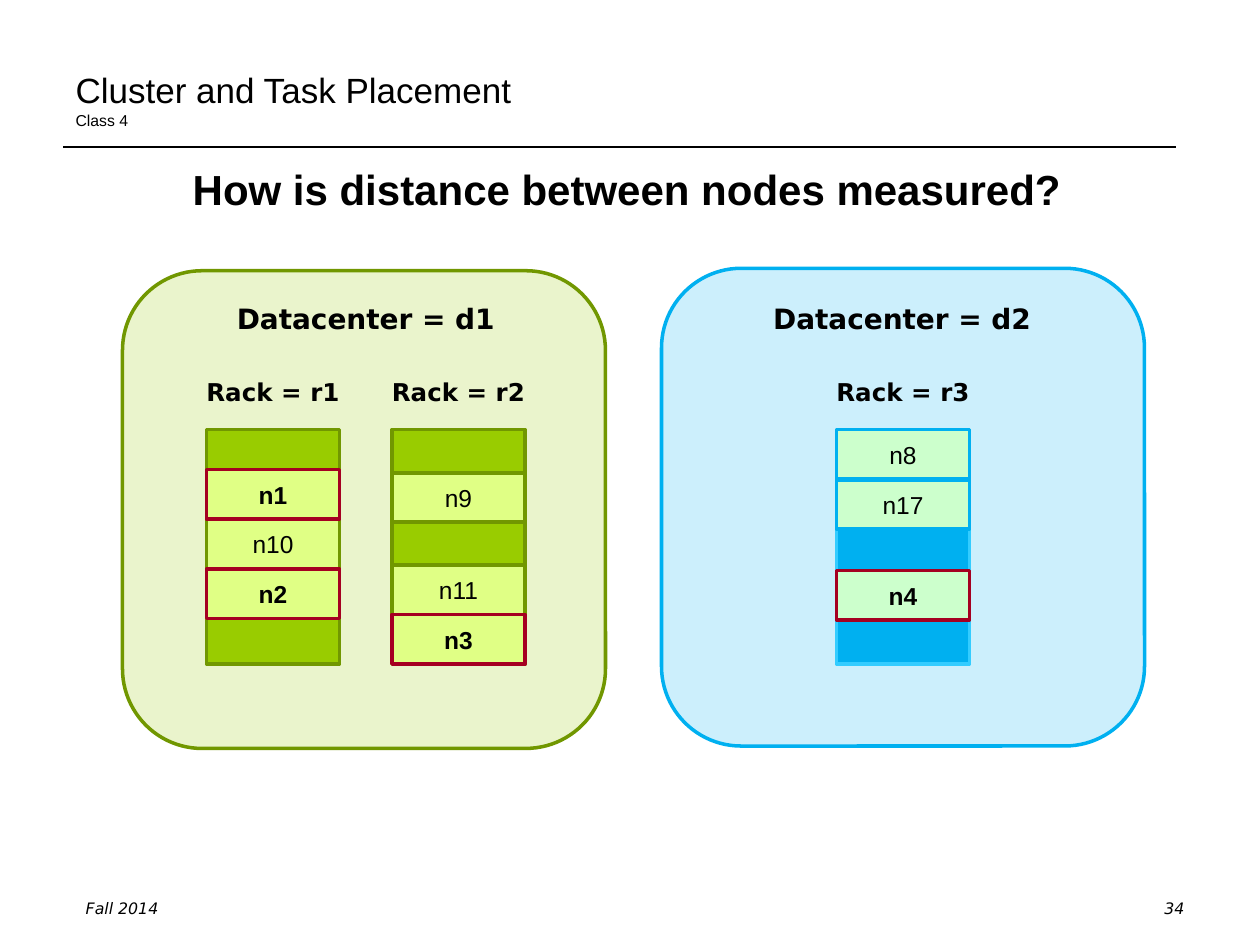
from lxml import etree
from pptx import Presentation
from pptx.dml.color import RGBColor
from pptx.enum.shapes import MSO_CONNECTOR, MSO_SHAPE
from pptx.enum.text import MSO_ANCHOR, MSO_AUTO_SIZE, PP_ALIGN
from pptx.oxml.ns import qn
from pptx.util import Pt

BLACK = RGBColor(0x00, 0x00, 0x00)
GREEN = RGBColor(0x99, 0xCC, 0x00)
DARK_GREEN = RGBColor(0x71, 0x97, 0x00)
LIME = RGBColor(0xE0, 0xFF, 0x85)
BLUE = RGBColor(0x00, 0xB0, 0xF0)
SKY = RGBColor(0x33, 0xCC, 0xFF)
MINT = RGBColor(0xCC, 0xFF, 0xCC)
RED = RGBColor(0xA5, 0x00, 0x21)

RACK_TOP, RACK_WIDTH, RACK_HEIGHT = 245.5, 76, 134
NODE_HEIGHT = 28.3

deck = Presentation()
deck.slide_width, deck.slide_height = Pt(720), Pt(540)
page = deck.slides.add_slide(deck.slide_layouts[5])


def add_text(para, text, size, font="Arial", bold=False, italic=False):
    span = para.add_run()
    span.text = text
    span.font.name, span.font.size = font, Pt(size)
    span.font.bold, span.font.italic = bold, italic
    span.font.color.rgb = BLACK


def add_box(kind, left, top, width, height, fill=None, line=None):
    bounds = [Pt(value) for value in (left, top, width, height)]
    if kind is None:
        box = page.shapes.add_textbox(*bounds)
        box.text_frame.margin_left = box.text_frame.margin_right = 0
    else:
        box = page.shapes.add_shape(kind, *bounds)
        box.shadow.inherit = False
        box.fill.solid()
        box.fill.fore_color.rgb = fill
        box.line.color.rgb, box.line.width = line, Pt(2)
    box.text_frame.word_wrap = True
    box.text_frame.paragraphs[0].alignment = PP_ALIGN.CENTER
    return box


title = page.shapes.title
title.left, title.top, title.width, title.height = Pt(36), Pt(21.6), Pt(648), Pt(56.2)
title.text_frame.auto_size = MSO_AUTO_SIZE.NONE
title.text_frame.vertical_anchor = MSO_ANCHOR.BOTTOM
para = title.text_frame.paragraphs[0]
para.alignment = PP_ALIGN.LEFT
add_text(para, "Cluster and Task Placement", 20)
para.add_line_break()
add_text(para, "Class 4", 9)

rule = page.shapes.add_connector(MSO_CONNECTOR.STRAIGHT, Pt(36), Pt(84), Pt(672), Pt(84))
rule.line.color.rgb, rule.line.width = BLACK, Pt(1.5)
etree.SubElement(rule._element.spPr, qn("a:effectLst"))

question = add_box(None, 36, 90, 644.4, 64.8).text_frame.paragraphs[0]
question.space_before = Pt(4.8)
add_text(question, "How is distance between nodes measured?", 24, bold=True)

for left, top, fill, line in [(378, 153.3, BLUE, BLUE), (70, 154.7, GREEN, DARK_GREEN)]:
    center = add_box(MSO_SHAPE.ROUNDED_RECTANGLE, left, top, 276, 273, fill, line)
    color = center.fill._xPr.find(qn("a:solidFill"))[0]
    etree.SubElement(color, qn("a:alpha"), val="20000")

labels = [
    ("Datacenter = d1", 118, 169, 182, 16),
    ("Datacenter = d2", 433, 169, 165, 16),
]
racks = [
    ("Rack = r1", 118, GREEN, DARK_GREEN, LIME, DARK_GREEN,
     [("n10", 296.8, False), ("n1", 268.4, True), ("n2", 325.3, True)]),
    ("Rack = r2", 224, GREEN, DARK_GREEN, LIME, DARK_GREEN,
     [("n9", 270.2, False), ("n11", 322.8, False), ("n3", 351.2, True)]),
    ("Rack = r3", 478, BLUE, SKY, MINT, BLUE,
     [("n17", 274.2, False), ("n8", 245.5, False), ("n4", 326.1, True)]),
]
for name, left, fill, line, node_fill, node_line, nodes in racks:
    labels.append((name, left - 8, 211.7, 92, 14))
    add_box(MSO_SHAPE.RECTANGLE, left, RACK_TOP, RACK_WIDTH, RACK_HEIGHT, fill, line)
    for node, top, chosen in nodes:
        box = add_box(MSO_SHAPE.RECTANGLE, left, top, RACK_WIDTH, NODE_HEIGHT,
                      node_fill, RED if chosen else node_line)
        box.text_frame.vertical_anchor = MSO_ANCHOR.MIDDLE
        add_text(box.text_frame.paragraphs[0], node, 14, bold=chosen)

for text, left, top, width, size in labels:
    box = add_box(None, left, top, width, size * 1.7)
    add_text(box.text_frame.paragraphs[0], text, size, "DejaVu Sans", bold=True)

for text, left, align in [("Fall 2014", 49, PP_ALIGN.LEFT), ("34", 516.8, PP_ALIGN.RIGHT)]:
    para = add_box(None, left, 509.8, 160, 18).text_frame.paragraphs[0]
    para.alignment = align
    add_text(para, text, 9, "DejaVu Sans", italic=True)

deck.save("out.pptx")
